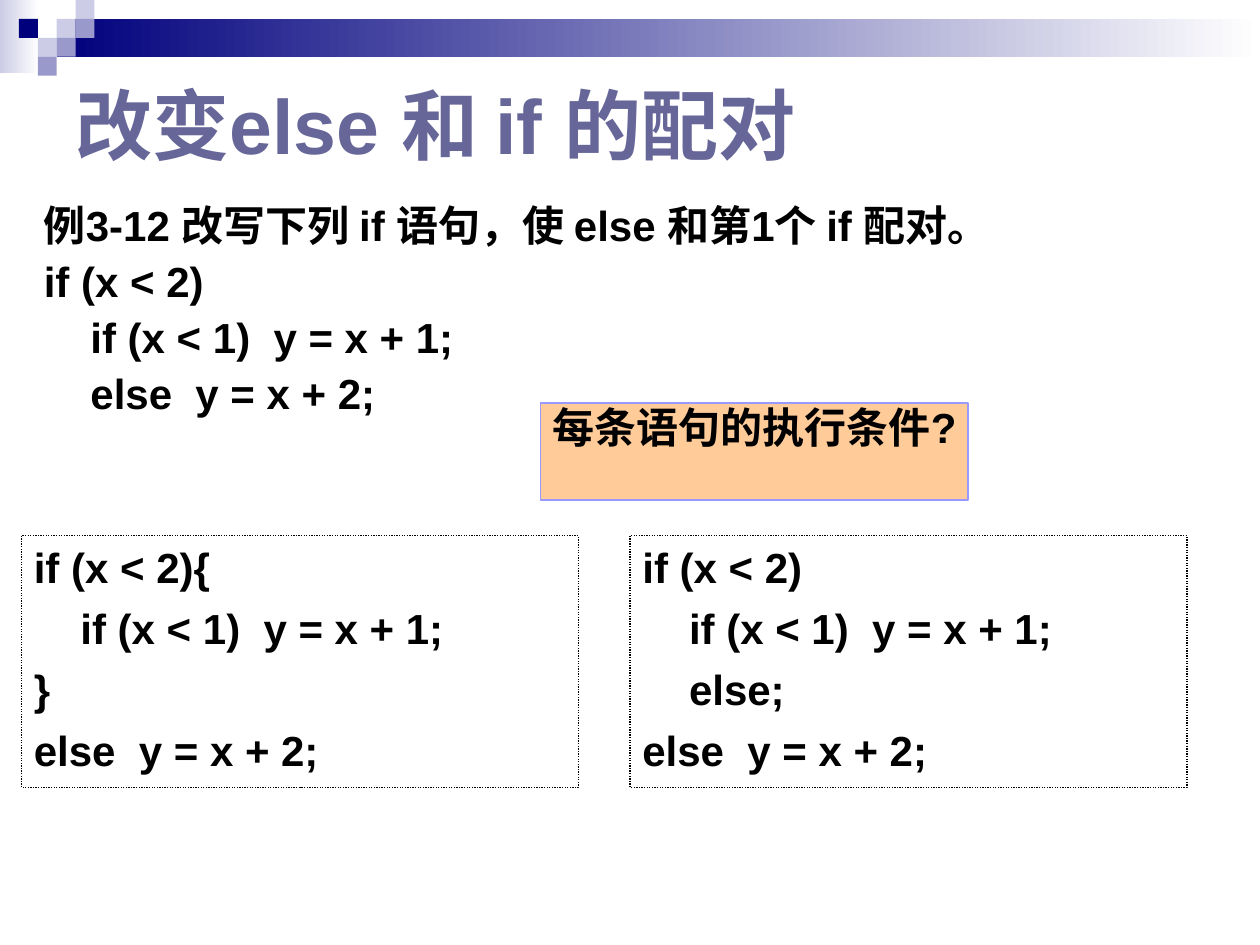
from pptx import Presentation
from pptx.dml.color import RGBColor
from pptx.enum.dml import MSO_LINE
from pptx.enum.shapes import MSO_SHAPE
from pptx.enum.text import MSO_ANCHOR, PP_ALIGN
from pptx.util import Inches, Pt

NAVY = RGBColor(0x00, 0x00, 0x7D)
PALE = RGBColor(0xCC, 0xCC, 0xE6)
LILAC = RGBColor(0x99, 0x99, 0xCC)
WHITE = RGBColor(0xFF, 0xFF, 0xFF)
BLACK = RGBColor(0x00, 0x00, 0x00)
SLATE = RGBColor(0x66, 0x66, 0x99)
PEACH = RGBColor(0xFF, 0xCC, 0x99)
VIOLET = RGBColor(0x99, 0x99, 0xFF)
FONT = "Arial"

INTRO = [
    (0, "例3-12 改写下列 if 语句，使 else 和第1个 if 配对。"),
    (0, "if (x < 2)"),
    (1, "if (x < 1)  y = x + 1;"),
    (1, "else  y = x + 2;"),
]
BRACES = [
    (0, "if (x < 2){"),
    (1, "if (x < 1)  y = x + 1;"),
    (0, "}"),
    (0, "else  y = x + 2;"),
]
EMPTY = [
    (0, "if (x < 2)"),
    (1, "if (x < 1)  y = x + 1;"),
    (1, "else;"),
    (0, "else  y = x + 2;"),
]


def style(par, size, color):
    for run in par.runs:
        run.font.name = FONT
        run.font.size = Pt(size)
        run.font.bold = True
        run.font.color.rgb = color


def add_rect(slide, left, top, width, height):
    """Add a rectangle with no fill, line or shadow."""
    rect = slide.shapes.add_shape(
        MSO_SHAPE.RECTANGLE, Inches(left), Inches(top), Inches(width), Inches(height))
    rect.shadow.inherit = False
    rect.fill.background()
    rect.line.fill.background()
    return rect


def add_fade(slide, color, *box):
    """Add a band that fades from color to white, left to right."""
    fill = add_rect(slide, *box).fill
    fill.gradient()
    fill.gradient_angle = 0
    for stop, tint in zip(fill.gradient_stops, (color, WHITE)):
        stop.color.rgb = tint


def add_banner(slide, left, top, width):
    unit = 0.15
    add_fade(slide, PALE, left, top, 0.31, 0.58)
    add_fade(slide, NAVY, left + 3 * unit, top + unit, width - 3 * unit, 2 * unit)
    cells = [(3, 1, PALE), (4, 0, PALE), (4, 1, LILAC), (2, 2, PALE),
             (1, 1, NAVY), (3, 2, LILAC), (2, 3, LILAC)]
    for col, row, color in cells:
        cell = add_rect(slide, left + col * unit, top + row * unit, unit, unit)
        cell.fill.solid()
        cell.fill.fore_color.rgb = color


def set_title(slide, left, top, width, height):
    title = slide.shapes.title
    title.left, title.top = Inches(left), Inches(top)
    title.width, title.height = Inches(width), Inches(height)
    frame = title.text_frame
    frame.text = "改变else 和 if 的配对"
    frame.vertical_anchor = MSO_ANCHOR.MIDDLE
    par = frame.paragraphs[0]
    par.alignment = PP_ALIGN.LEFT
    style(par, 44, SLATE)


def fill_lines(frame, lines, pitch):
    """Write (level, text) lines, one paragraph each, indented by level."""
    frame.word_wrap = True
    frame.vertical_anchor = MSO_ANCHOR.TOP
    for num, (level, text) in enumerate(lines):
        par = frame.add_paragraph() if num else frame.paragraphs[0]
        par.text = text
        par.alignment = PP_ALIGN.LEFT
        par.line_spacing = pitch
        par.space_before = Pt(6)
        par._p.get_or_add_pPr().set("marL", str(Inches(0.37 * level)))
        style(par, 24, BLACK)


def add_intro(slide, left, top, width, height):
    box = slide.shapes.add_textbox(
        Inches(left), Inches(top), Inches(width), Inches(height))
    fill_lines(box.text_frame, INTRO, 0.9)


def add_code(slide, lines, *box):
    rect = add_rect(slide, *box)
    rect.line.color.rgb = BLACK
    rect.line.width = Pt(0.75)
    rect.line.dash_style = MSO_LINE.ROUND_DOT
    fill_lines(rect.text_frame, lines, 1.0)


def add_query(slide, *box):
    rect = add_rect(slide, *box)
    rect.fill.solid()
    rect.fill.fore_color.rgb = PEACH
    rect.line.color.rgb = VIOLET
    rect.line.width = Pt(1)
    fill_lines(rect.text_frame, [(0, "每条语句的执行条件?")], 0.84)


def main():
    deck = Presentation()
    deck.slide_width, deck.slide_height = Inches(10), Inches(7.5)
    slide = deck.slides.add_slide(deck.slide_layouts[5])
    add_banner(slide, 0, 0, 10)
    set_title(slide, 0.5, 0.5, 9, 0.97)
    add_intro(slide, 0.25, 1.58, 9.4, 1.85)
    for left, lines in ((0.17, BRACES), (5, EMPTY)):
        add_code(slide, lines, left, 4.25, 4.42, 2)
    add_query(slide, 4.29, 3.2, 3.39, 0.77)
    deck.save("out.pptx")


if __name__ == "__main__":
    main()
